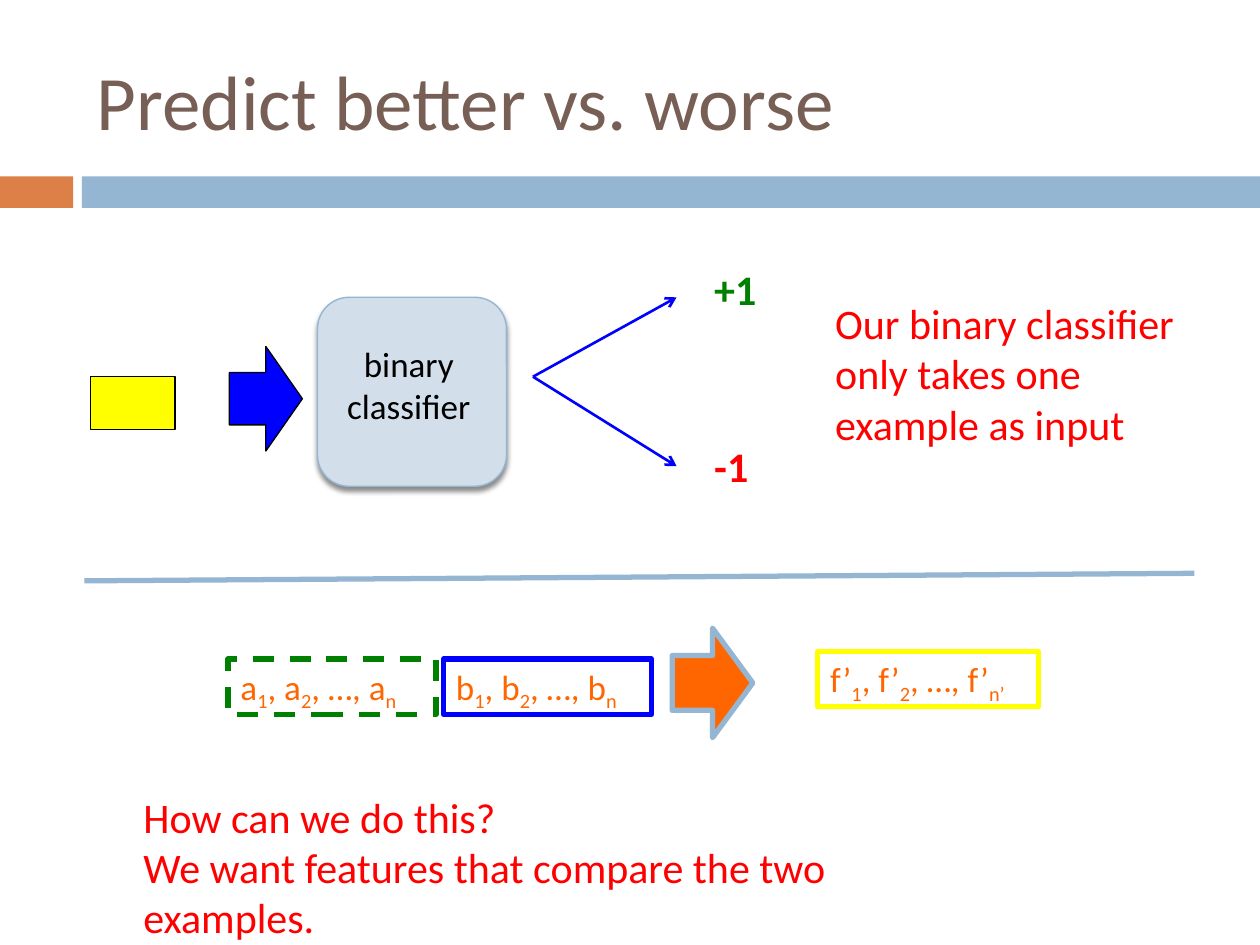
from dataclasses import dataclass
from typing import Optional

from lxml import etree
from pptx import Presentation
from pptx.dml.color import RGBColor
from pptx.enum import dml, shapes, text
from pptx.oxml.ns import qn
from pptx.util import Inches, Pt

FONT = "Calibri"
COLORS = {
    "title": "775F55",
    "accent": "DD8047",
    "band": "94B6D2",
    "pale": "D2DEEA",
    "yellow": "FFFF00",
    "blue": "0000FF",
    "green": "008000",
    "red": "FF0000",
    "orange": "FF6600",
    "black": "000000",
}
SHAPE = shapes.MSO_SHAPE


@dataclass
class Box:
    left: float
    top: float
    width: float
    height: float

    def lengths(self) -> list:
        return [Inches(n) for n in (self.left, self.top, self.width, self.height)]


@dataclass
class Block:
    kind: int
    box: Box
    fill: str
    line: Optional[str] = None
    line_width: float = 0.75
    rotation: float = 0


@dataclass
class Label:
    box: Box
    lines: list
    color: str
    size: float = 24
    bold: bool = False
    wrap: bool = True
    align: int = text.PP_ALIGN.LEFT
    anchor: int = text.MSO_ANCHOR.TOP


@dataclass
class Features:
    """A framed feature list: name 1, name 2, …, name last."""
    box: Box
    name: str
    last: str
    line: str
    dash: Optional[int] = None


@dataclass
class Line:
    start: tuple
    end: tuple
    color: str
    width: float
    arrow: bool = False


def rgb(name: str) -> RGBColor:
    return RGBColor.from_string(COLORS[name])


def draw_block(slide, block: Block):
    shape = slide.shapes.add_shape(block.kind, *block.box.lengths())
    shape.shadow.inherit = False
    shape.rotation = block.rotation
    shape.fill.solid()
    shape.fill.fore_color.rgb = rgb(block.fill)
    if block.line:
        shape.line.color.rgb = rgb(block.line)
        shape.line.width = Pt(block.line_width)
    else:
        shape.line.fill.background()
    return shape


def add_soft_shadow(shape) -> None:
    effects = shape._element.spPr.find(qn("a:effectLst"))
    shadow = etree.SubElement(effects, qn("a:outerShdw"), blurRad=str(Pt(3)),
                              dist=str(Pt(2.4)), dir="5400000", rotWithShape="0")
    color = etree.SubElement(shadow, qn("a:srgbClr"), val=COLORS["black"])
    etree.SubElement(color, qn("a:alpha"), val="45000")


def style(paragraph, size: float, color: str, bold: bool = False) -> None:
    font = paragraph.font
    font.name, font.size, font.bold = FONT, Pt(size), bold
    font.color.rgb = rgb(color)


def draw_label(slide, label: Label) -> None:
    frame = slide.shapes.add_textbox(*label.box.lengths()).text_frame
    frame.word_wrap = label.wrap
    frame.vertical_anchor = label.anchor
    frame.text = "\n".join(label.lines)
    for paragraph in frame.paragraphs:
        paragraph.alignment = label.align
        style(paragraph, label.size, label.color, label.bold)


def draw_features(slide, features: Features) -> None:
    shape = slide.shapes.add_textbox(*features.box.lengths())
    shape.line.color.rgb = rgb(features.line)
    shape.line.width = Pt(3)
    if features.dash:
        shape.line.dash_style = features.dash
    shape.text_frame.word_wrap = True
    paragraph = shape.text_frame.paragraphs[0]
    style(paragraph, 20, "orange")
    for lead, index in (("", "1"), (", ", "2"), (", …, ", features.last)):
        paragraph.add_run().text = lead + features.name
        subscript = paragraph.add_run()
        subscript.text = index
        subscript._r.get_or_add_rPr().set("baseline", "-25000")


def draw_line(slide, line: Line) -> None:
    points = [Inches(n) for n in (*line.start, *line.end)]
    connector = slide.shapes.add_connector(shapes.MSO_CONNECTOR.STRAIGHT, *points)
    connector.line.color.rgb = rgb(line.color)
    connector.line.width = Pt(line.width)
    if line.arrow:
        etree.SubElement(connector.line._get_or_add_ln(), qn("a:tailEnd"), type="arrow")
    etree.SubElement(connector._element.spPr, qn("a:effectLst"))


def main() -> None:
    presentation = Presentation()
    presentation.slide_width, presentation.slide_height = Inches(10), Inches(7.5)
    slide = presentation.slides.add_slide(presentation.slide_layouts[6])

    blocks = [
        Block(SHAPE.RECTANGLE, Box(0, 1.4, 0.58, 0.25), "accent"),
        Block(SHAPE.RECTANGLE, Box(0.65, 1.4, 9.35, 0.25), "band"),
        Block(SHAPE.RECTANGLE, Box(0.72, 2.99, 0.67, 0.42), "yellow", "black"),
        Block(SHAPE.RIGHT_ARROW, Box(1.82, 2.75, 0.58, 0.83), "blue", "black"),
        Block(SHAPE.DOWN_ARROW, Box(5.22, 5.1, 0.87, 0.64), "orange", "band", 3, 270),
    ]
    for block in blocks:
        draw_block(slide, block)
    classifier = Block(SHAPE.ROUNDED_RECTANGLE, Box(2.52, 2.36, 1.5, 1.5), "pale", "band", 0.79)
    add_soft_shadow(draw_block(slide, classifier))

    labels = [
        Label(Box(0.67, 0.25, 8.92, 1.08), ["Predict better vs. worse"], "title", 44,
              anchor=text.MSO_ANCHOR.MIDDLE),
        Label(Box(2.46, 2.67, 1.57, 0.77), ["binary classifier"], "black", 20,
              align=text.PP_ALIGN.CENTER),
        Label(Box(5.57, 2.04, 0.61, 0.5), ["+1"], "green", bold=True, wrap=False),
        Label(Box(5.57, 3.45, 0.49, 0.5), ["-1"], "red", bold=True, wrap=False),
        Label(Box(6.53, 2.31, 3.17, 1.31),
              ["Our binary classifier only takes one example as input"], "red"),
        Label(Box(1.04, 6.23, 5.98 + 1, 0.91),
              ["How can we do this?", "We want features that compare the two examples."], "red"),
    ]
    # The closing question keeps its second sentence on two lines.
    labels[-1].box.width = 6
    for label in labels:
        draw_label(slide, label)

    feature_lists = [
        Features(Box(1.81, 5.23, 1.65, 0.44), "a", "n", "green", dml.MSO_LINE.DASH),
        Features(Box(3.52, 5.23, 1.65, 0.44), "b", "n", "blue"),
        Features(Box(6.49, 5.17, 1.75, 0.44), "f’", "n’", "yellow"),
    ]
    for features in feature_lists:
        draw_features(slide, features)

    fork = (4.23, 2.99)
    lines = [
        Line(fork, (5.37, 2.36), "blue", 1.5, arrow=True),
        Line(fork, (5.37, 3.7), "blue", 1.5, arrow=True),
        Line((0.67, 4.61), (9.48, 4.55), "band", 3),
    ]
    for line in lines:
        draw_line(slide, line)

    presentation.save("out.pptx")


if __name__ == "__main__":
    main()
